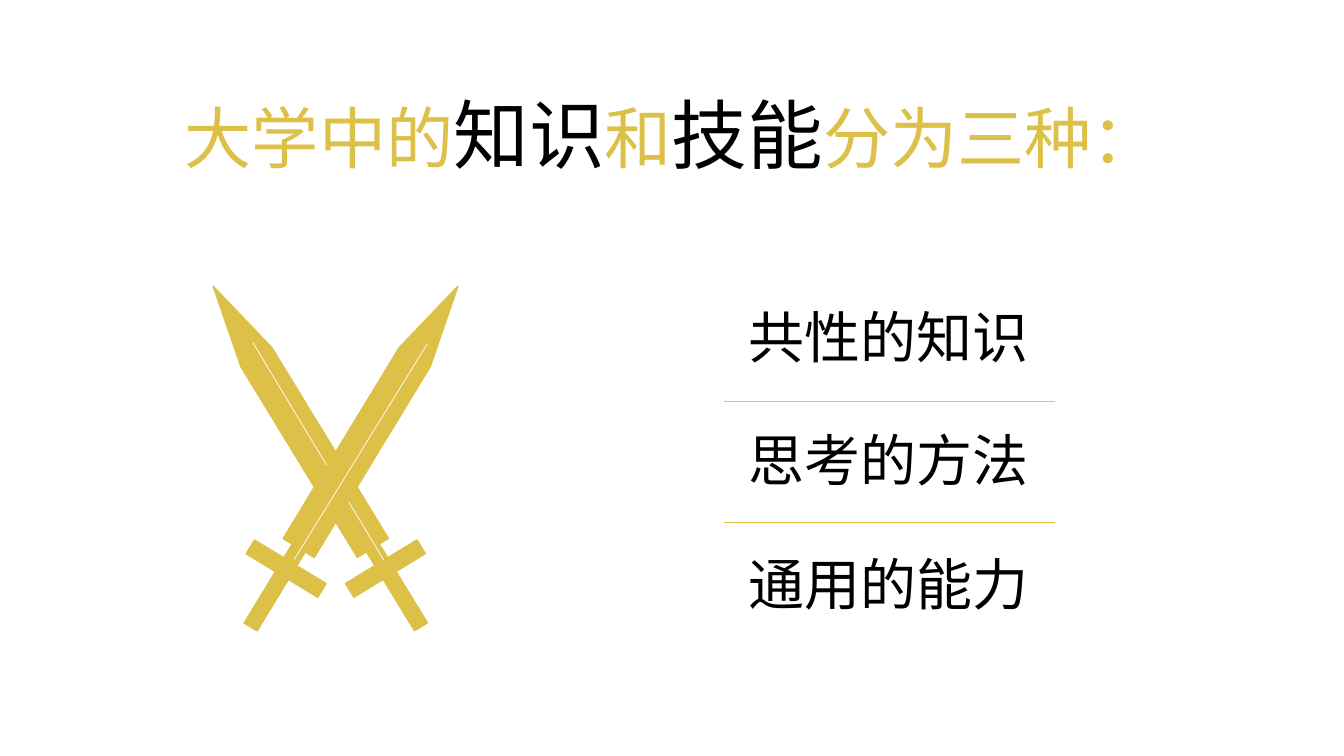
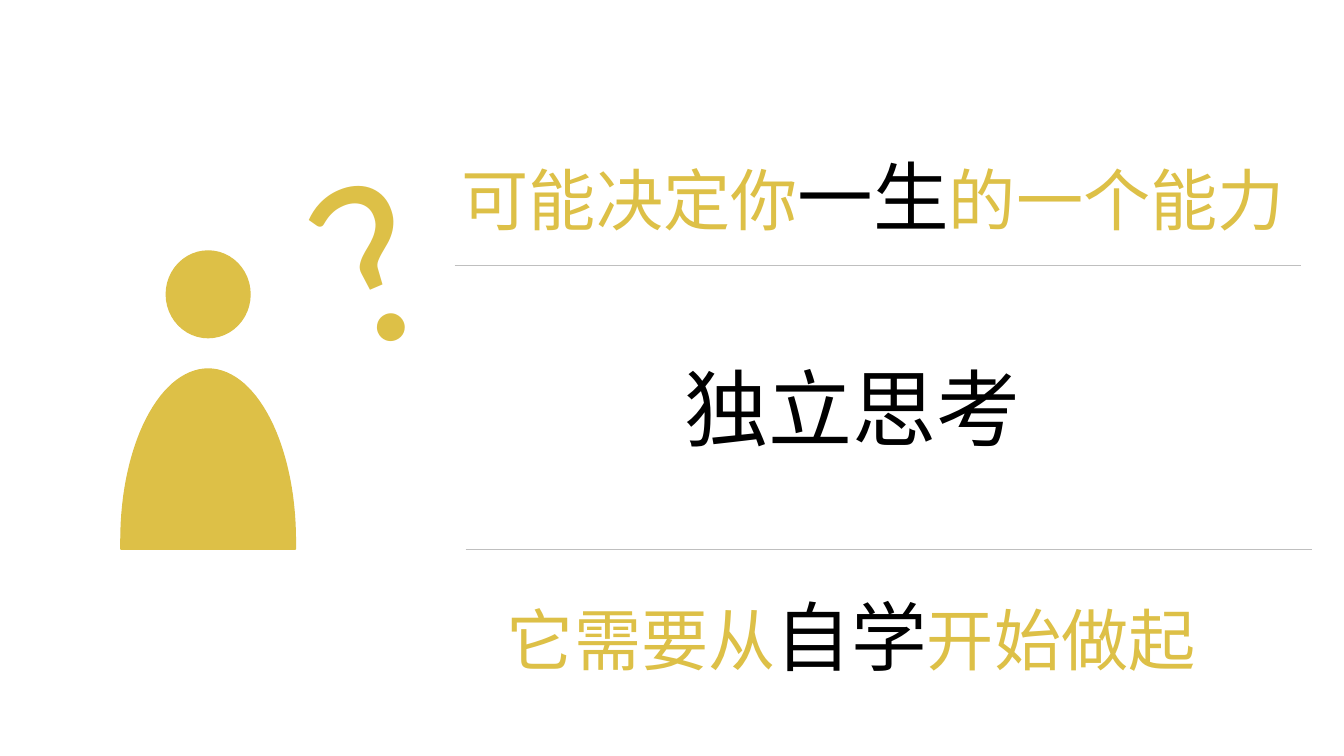
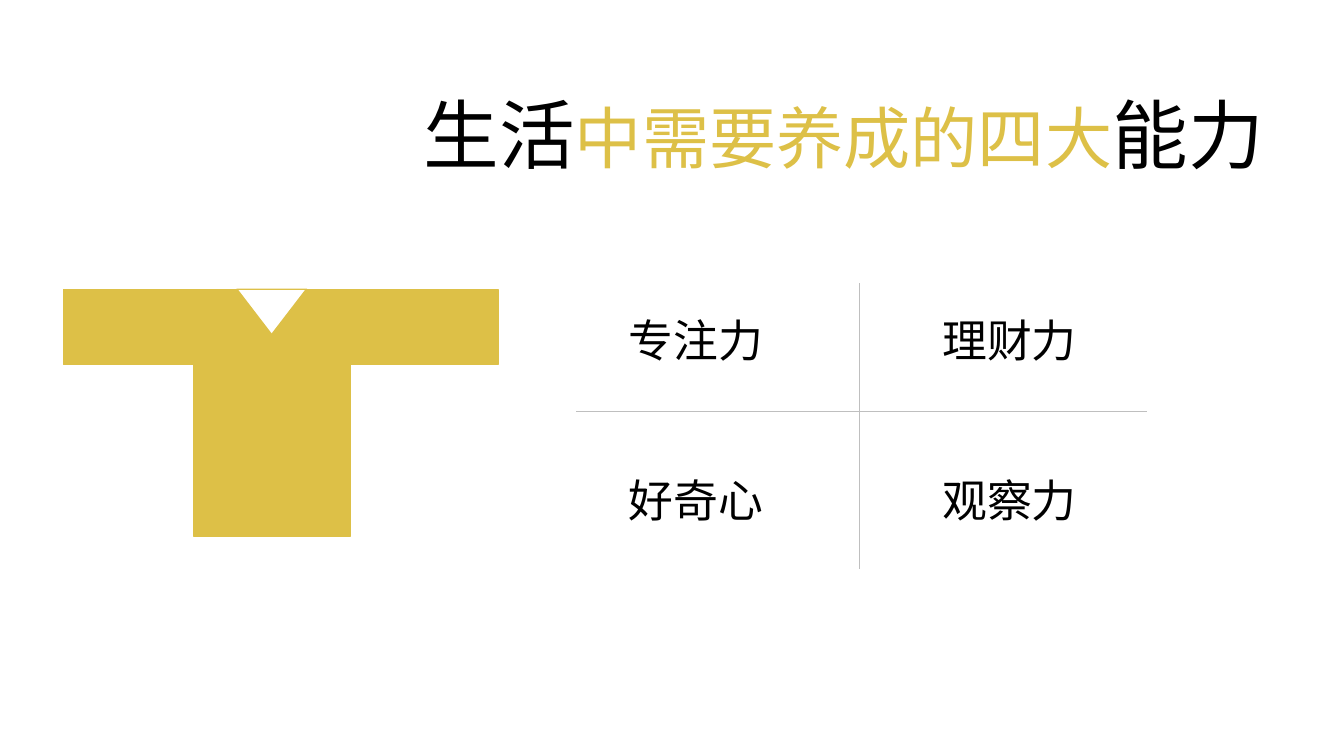
"""Build three slides on the knowledge and abilities worth gaining at university."""

from dataclasses import dataclass
from math import cos, pi, sin

from lxml.etree import SubElement
from pptx import Presentation
from pptx.dml.color import RGBColor
from pptx.enum.shapes import MSO_CONNECTOR, MSO_SHAPE
from pptx.enum.text import MSO_ANCHOR, MSO_AUTO_SIZE, PP_ALIGN
from pptx.oxml.ns import qn
from pptx.util import Pt


@dataclass(frozen=True)
class Style:
    font: str
    size: float
    colour: RGBColor


class Theme:
    gold = RGBColor(0xDD, 0xC0, 0x47)
    black = RGBColor(0, 0, 0)
    white = RGBColor(255, 255, 255)
    grey = RGBColor(0xBF, 0xBF, 0xBF)
    han = "Noto Sans CJK SC"
    soft = Style(han, 48, gold)
    strong = Style(han, 54, black)
    keyword = Style(han, 60, black)
    item = Style(han, 40, black)
    ability = Style(han, 32, black)
    question = Style("Calibri", 166, gold)
    outline = 1
    hairline = 0.5


def write(frame, spans, align, wrap):
    frame.word_wrap = wrap
    frame.auto_size = MSO_AUTO_SIZE.SHAPE_TO_FIT_TEXT
    frame.vertical_anchor = MSO_ANCHOR.TOP
    para = frame.paragraphs[0]
    para.alignment = align
    for text, style in spans:
        span = para.add_run()
        span.text = text
        span.font.name = style.font
        span.font.size = Pt(style.size)
        span.font.color.rgb = style.colour
        SubElement(span.font._element, qn("a:ea"), typeface=style.font)


def place(shape, left, top, width, height):
    shape.left, shape.top = Pt(left), Pt(top)
    shape.width, shape.height = Pt(width), Pt(height)


def add_page(deck, bounds, spans, align=PP_ALIGN.CENTER, wrap=True):
    page = deck.slides.add_slide(deck.slide_layouts[5])
    place(page.shapes.title, *bounds)
    write(page.shapes.title.text_frame, spans, align, wrap)
    return page


def add_label(page, bounds, *spans):
    box = page.shapes.add_textbox(*map(Pt, bounds))
    write(box.text_frame, spans, PP_ALIGN.LEFT, False)
    return box


def add_rule(page, start, end, colour=Theme.grey):
    rule = page.shapes.add_connector(MSO_CONNECTOR.STRAIGHT, *map(Pt, start + end))
    rule.line.color.rgb = colour
    rule.line.width = Pt(Theme.hairline)
    SubElement(rule._element.spPr, qn("a:effectLst"))


def paint(shape, fill=Theme.gold):
    shape.shadow.inherit = False
    shape.fill.solid()
    shape.fill.fore_color.rgb = fill
    shape.line.color.rgb = Theme.gold
    shape.line.width = Pt(Theme.outline)


def add_figure(page, kind, bounds, fill=Theme.gold):
    paint(page.shapes.add_shape(kind, *map(Pt, bounds)), fill)


def add_outline(page, points):
    corners = [(Pt(x), Pt(y)) for x, y in points]
    builder = page.shapes.build_freeform(*corners[0])
    builder.add_line_segments(corners[1:], close=True)
    shape = builder.convert_to_shape()
    paint(shape)
    return shape


def add_sword(page, centre, top, rotation):
    blade, grip, guard = 13, 5.4, 29.9
    profile = [(blade, 59.3), (blade, 219), (grip, 219), (grip, 230.5), (guard, 230.5),
               (guard, 242), (grip, 242), (grip, 285)]
    right = [(centre + half, top + depth) for half, depth in profile]
    left = [(centre - half, top + depth) for half, depth in reversed(profile)]
    add_outline(page, [(centre, top)] + right + left).rotation = rotation


def add_person(page):
    add_figure(page, MSO_SHAPE.FLOWCHART_CONNECTOR, (118.8, 179.3, 59.8, 61.9))
    centre, shoulder, base, half, rise, steps = 148.7, 386, 392.2, 62.3, 122.4, 60
    angles = [pi * step / steps for step in range(steps + 1)]
    arch = [(centre - half * cos(angle), shoulder - rise * sin(angle)) for angle in angles]
    add_outline(page, arch + [(centre + half, base), (centre - half, base)])
    mark = add_label(page, (216, 75.6, 92.2, 208.1), ("?", Theme.question))
    mark.rotation = 336.9


def add_shirt(page):
    add_figure(page, MSO_SHAPE.RECTANGLE, (138.2, 206.6, 112.3, 176.4))
    add_figure(page, MSO_SHAPE.RECTANGLE, (45.4, 206.6, 310.3, 54))
    add_figure(page, MSO_SHAPE.FLOWCHART_MERGE, (169.2, 206.6, 49.7, 32.4), Theme.white)


def build_knowledge(deck):
    spans = [("大学中的", Theme.soft), ("知识", Theme.strong), ("和", Theme.soft),
             ("技能", Theme.strong), ("分为三种：", Theme.soft)]
    page = add_page(deck, (0, 59, 960, 72.7), spans)
    add_sword(page, 226.5, 183.6, 328.6)
    add_rule(page, (180.7, 244.8), (274.3, 400.3), Theme.white)
    add_sword(page, 253.1, 183.6, 31.3)
    add_rule(page, (305.3, 245.5), (210.2, 399.6), Theme.white)
    for row, text in enumerate(("共性的知识", "思考的方法", "通用的能力")):
        add_label(page, (527.6, 212.4 + 88.2 * row, 216.7, 55.4), (text, Theme.item))
    for height, colour in ((286.6, Theme.grey), (373, Theme.gold)):
        add_rule(page, (517.4, height), (753.4, height), colour)


def build_thinking(deck):
    spans = [("可能决定你", Theme.soft), ("一生", Theme.strong), ("的一个能力", Theme.soft)]
    page = add_page(deck, (322.6, 103.7, 608.4, 72.7), spans, PP_ALIGN.LEFT, False)
    add_person(page)
    add_label(page, (481.7, 251.3, 257, 79.9), ("独立思考", Theme.keyword))
    add_label(page, (355, 417.6, 511.2, 72.7), ("它需要从", Theme.soft),
              ("自学", Theme.strong), ("开始做起", Theme.soft))
    for left, height in ((324.7, 189.4), (332.6, 392.4)):
        add_rule(page, (left, height), (left + 604.4, height))


def build_abilities(deck):
    spans = [("生活", Theme.strong), ("中需要养成的四大", Theme.soft), ("能力", Theme.strong)]
    page = add_page(deck, (287.3, 59, 630.7, 72.7), spans)
    add_shirt(page)
    for index, text in enumerate(("专注力", "理财力", "好奇心", "观察力")):
        row, column = divmod(index, 2)
        bounds = (442.1 + 223.9 * column, 219.6 + 114.5 * row, 111.6, 46.1)
        add_label(page, bounds, (text, Theme.ability))
    add_rule(page, (411.8, 293.8), (819.4, 293.8))
    add_rule(page, (613.7, 202.3), (613.7, 406.1))


def main():
    deck = Presentation()
    deck.slide_width, deck.slide_height = Pt(960), Pt(540)
    build_knowledge(deck)
    build_thinking(deck)
    build_abilities(deck)
    deck.save("out.pptx")


if __name__ == "__main__":
    main()
